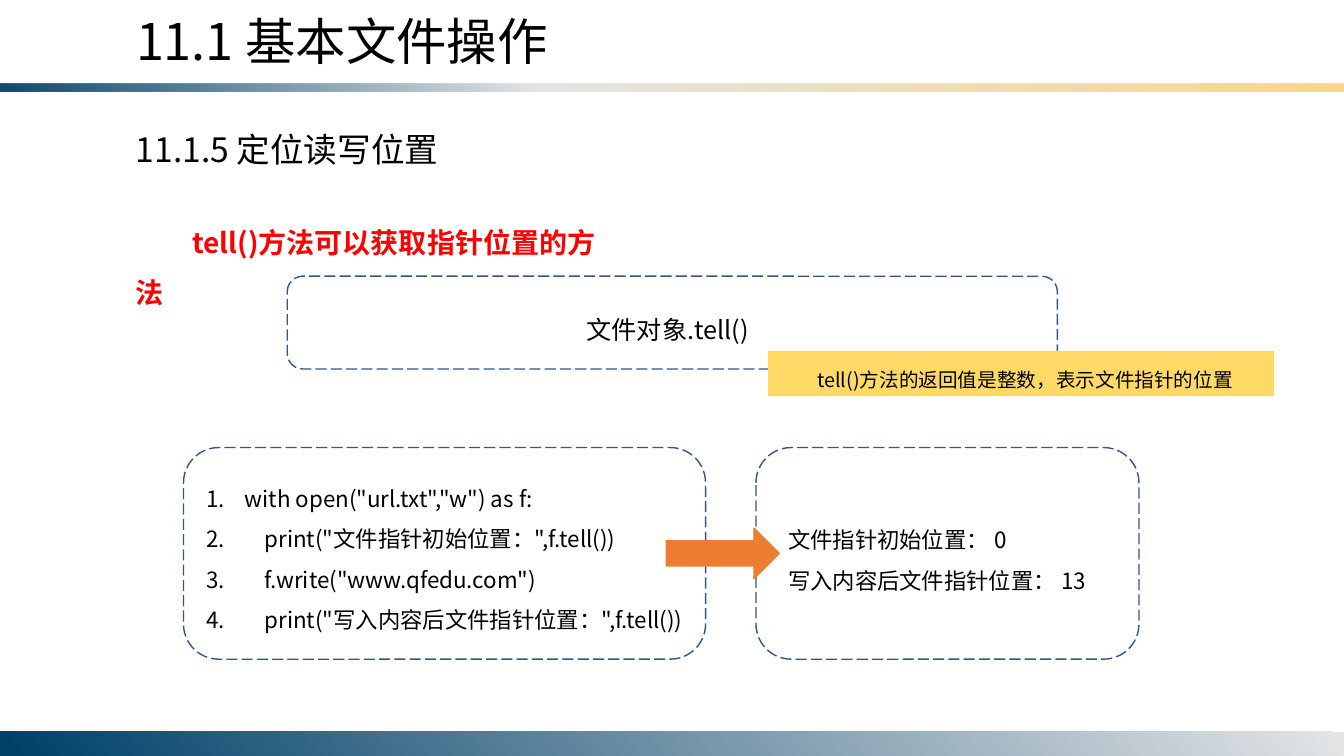
from dataclasses import dataclass
from lxml.etree import SubElement
from pptx import Presentation
from pptx.dml.color import RGBColor as RGB
from pptx.enum.dml import MSO_LINE as Dash
from pptx.enum.shapes import MSO_SHAPE as Kind
from pptx.enum.text import MSO_ANCHOR as Anchor, MSO_AUTO_SIZE as Fit, PP_ALIGN as Align
from pptx.oxml.ns import qn
from pptx.util import Inches, Pt


@dataclass(frozen=True)
class Theme:
    face: str = "Noto Sans CJK SC"
    ink: str = "000000"
    alert: str = "FF0000"
    edge: str = "325491"
    note: str = "FFD966"
    arrow: str = "ED7D31"
    navy: str = "00416A"
    mist: str = "E4E5E6"
    sand: str = "FBD786"
    title: int = 36
    head: int = 24
    lead: int = 20
    body: int = 18
    code: int = 16
    small: int = 14


THEME = Theme()
UNIT = Inches(1 / 6)  # one cell of the 80 by 45 slide grid
COLS, ROWS = 80, 45

CODE = [
    'with open("url.txt","w") as f:',
    '    print("文件指针初始位置：",f.tell())',
    '    f.write("www.qfedu.com")',
    '    print("写入内容后文件指针位置：",f.tell())',
]
OUTPUT = ["文件指针初始位置： 0", "写入内容后文件指针位置： 13"]


def place(box, x, y, w, h):
    """Turn grid cells measured from the corner of box into slide lengths."""
    cells = (box[0] + x, box[1] + y, w, h)
    return [round(cell * UNIT) for cell in cells]


def write(frame, lines, size, color=THEME.ink, bold=False, space=1.5,
          left=0, first=0, number=False):
    """Fill a text frame; left and first are indents in inches."""
    frame.word_wrap = True
    frame.auto_size = Fit.SHAPE_TO_FIT_TEXT
    frame.vertical_anchor = Anchor.TOP
    for i, line in enumerate(lines):
        para = frame.add_paragraph() if i else frame.paragraphs[0]
        para.text = line
        para.alignment = Align.LEFT
        para.line_spacing = space
        props = para._p.get_or_add_pPr()
        props.set("marL", str(Inches(left)))
        props.set("indent", str(Inches(first)))
        if number:
            SubElement(props, qn("a:buFont"), typeface="+mj-lt")
            SubElement(props, qn("a:buAutoNum"), type="arabicPeriod")
        font = para.font
        font.name, font.size, font.bold = THEME.face, Pt(size), bold
        font.color.rgb = RGB.from_string(color)
        SubElement(props.find(qn("a:defRPr")), qn("a:ea"), typeface=THEME.face)


def label(slide, spot, lines, size, **style):
    box = slide.shapes.add_textbox(*spot)
    write(box.text_frame, lines, size, **style)
    return box


def outline(slide, spot):
    """Add an empty rounded frame with a dashed edge."""
    shape = slide.shapes.add_shape(Kind.ROUNDED_RECTANGLE, *spot)
    shape.shadow.inherit = False
    shape.fill.background()
    shape.line.color.rgb = RGB.from_string(THEME.edge)
    shape.line.width = Pt(1)
    shape.line.dash_style = Dash.LONG_DASH


def band(slide, spot, stops, angle):
    """Add a gradient bar; each stop is share, colour, opacity in percent."""
    bar = slide.shapes.add_shape(Kind.RECTANGLE, *spot)
    bar.shadow.inherit = False
    bar.line.fill.background()
    bar.fill.gradient()
    grad = bar._element.spPr.find(qn("a:gradFill"))
    for child in list(grad):
        grad.remove(child)
    row = SubElement(grad, qn("a:gsLst"))
    for share, color, solid in stops:
        stop = SubElement(row, qn("a:gs"), pos=str(share * 1000))
        tint = SubElement(stop, qn("a:srgbClr"), val=color)
        if solid < 100:
            SubElement(tint, qn("a:alpha"), val=str(solid * 1000))
    SubElement(grad, qn("a:lin"), ang=str(angle * 60000), scaled="0")


def header(slide, box):
    stops = [(0, THEME.navy, 95), (40, THEME.mist, 100), (100, THEME.sand, 100)]
    band(slide, place(box, 0, 4.98, COLS, 0.48), stops, 310)
    title = slide.shapes.title
    title.left, title.top, title.width, title.height = place(box, 7.5, 0.3, 36.72, 4.26)
    write(title.text_frame, ["11.1 基本文件操作"], THEME.title, space=1.0)


def footer(slide, box):
    stops = [(0, THEME.mist, 100), (99, THEME.navy, 100)]
    band(slide, place(box, 0, 0, COLS, 1.44), stops, 140)


def syntax(slide, box):
    label(slide, place(box, 0, 0, 30.96, 3), ["11.1.5 定位读写位置"],
          THEME.head, space=1.0)
    label(slide, place(box, 0, 4.74, 30.18, 3.6), ["tell()方法可以获取指针位置的方法"],
          THEME.lead, color=THEME.alert, bold=True, first=0.56)
    label(slide, place(box, 26.82, 10.14, 11.4, 3.3), ["文件对象.tell()"], THEME.body)
    outline(slide, place(box, 9.6, 9.06, 45.84, 5.52))
    note = label(slide, place(box, 38.22, 13.5, 30.12, 2.7),
                 ["tell()方法的返回值是整数，表示文件指针的位置"], THEME.small, first=0.39)
    note.fill.solid()
    note.fill.fore_color.rgb = RGB.from_string(THEME.note)


def example(slide, box):
    label(slide, place(box, 0.78, 1.14, 30.3, 10.32), CODE, THEME.code,
          left=0.38, first=-0.38, number=True)
    outline(slide, place(box, 0, 0, 31.08, 12.6))
    label(slide, place(box, 35.4, 3.6, 20.16, 5.46), OUTPUT, THEME.code)
    outline(slide, place(box, 34.08, 0, 22.8, 12.6))
    arrow = slide.shapes.add_shape(Kind.RIGHT_ARROW, *place(box, 28.74, 4.8, 6.72, 3))
    arrow.shadow.inherit = False
    arrow.fill.solid()
    arrow.fill.fore_color.rgb = RGB.from_string(THEME.arrow)
    arrow.line.color.rgb = RGB.from_string(THEME.arrow)
    arrow.line.width = Pt(1)


def main():
    deck = Presentation()
    deck.slide_width, deck.slide_height = COLS * UNIT, ROWS * UNIT
    slide = deck.slides.add_slide(deck.slide_layouts[5])
    header(slide, (0, 0))
    footer(slide, (0, 43.56))
    syntax(slide, (7.5, 7.38))
    example(slide, (10.92, 26.64))
    deck.save("out.pptx")


if __name__ == "__main__":
    main()
